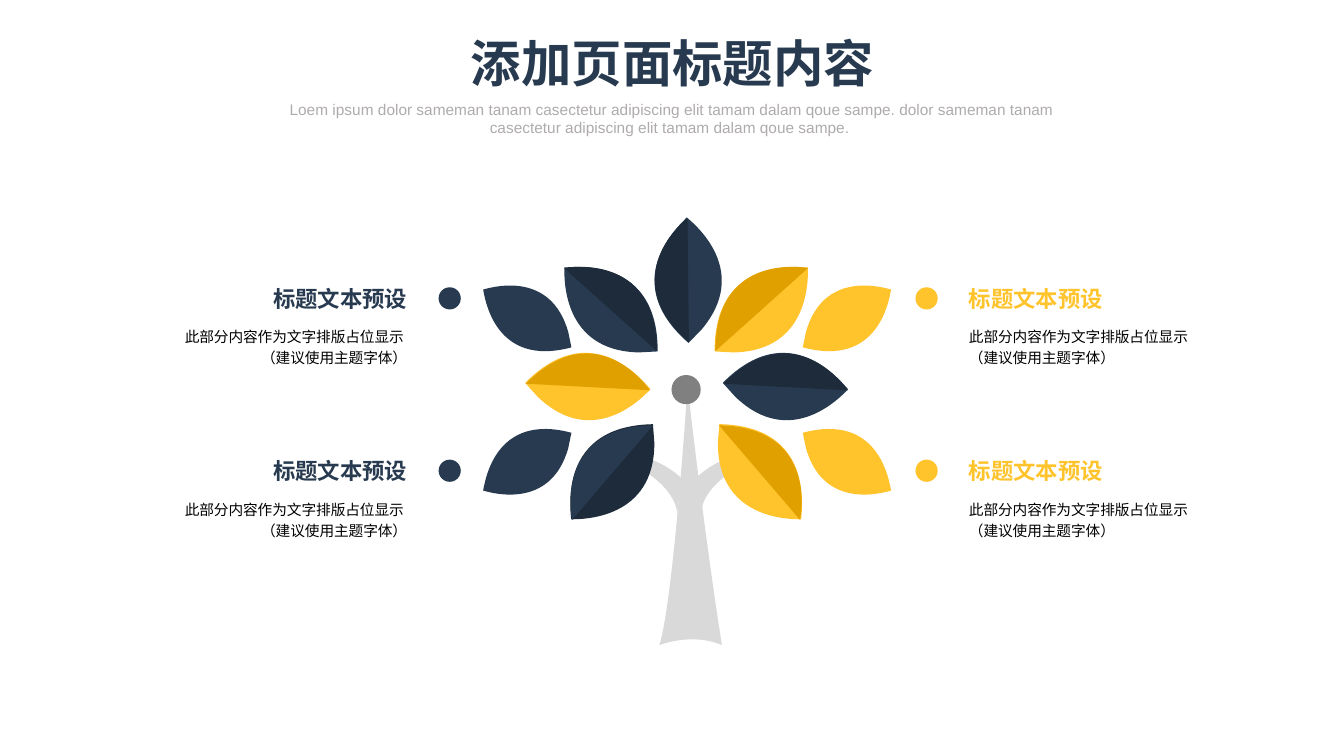
from lxml import etree
from pptx import Presentation
from pptx.dml.color import RGBColor
from pptx.enum.shapes import MSO_SHAPE
from pptx.enum.text import MSO_ANCHOR, MSO_AUTO_SIZE, PP_ALIGN
from pptx.oxml.ns import qn
from pptx.util import Inches, Pt

OVAL = MSO_SHAPE.OVAL
TOP, MIDDLE, BOTTOM = MSO_ANCHOR.TOP, MSO_ANCHOR.MIDDLE, MSO_ANCHOR.BOTTOM
LEFT, CENTER, RIGHT = PP_ALIGN.LEFT, PP_ALIGN.CENTER, PP_ALIGN.RIGHT
GROW, FIXED = MSO_AUTO_SIZE.SHAPE_TO_FIT_TEXT, MSO_AUTO_SIZE.NONE

WIDTH, HEIGHT = 13.33, 7.5
FONT = "Arial"
COLORS = {
    "navy": "273A4F", "deep navy": "1D2B3B",
    "gold": "FFC32B", "deep gold": "E0A000",
    "trunk": "D9D9D9", "crown": "808080",
    "subtitle": "AFABAB", "body": "000000",
}

TITLE = "添加页面标题内容"
SUBTITLE = ("Loem ipsum dolor sameman tanam casectetur adipiscing elit tamam dalam "
            "qoue sampe. dolor sameman tanam casectetur adipiscing elit tamam dalam qoue sampe. ")
HEADING = "标题文本预设"
DETAIL = ["此部分内容作为文字排版占位显示 ", "（建议使用主题字体）"]

ROW_TOP, ROW_PITCH = 2.67, 1.71
INDENT = 0.31
# dot left, text left, text width, alignment, colour
COLUMNS = [
    (4.35, 1.14, 3.21, RIGHT, "navy"),
    (9.08, 9.3, 3.09, LEFT, "gold"),
]

# Outlines in shares of their frame: start, then lines (one point) and curves (three)
PATH_UNITS = 1000
LEAF = [[(1, 1)],
        [(-0.06, 1.06), (0, 0.13), (0, 0)],
        [(0.13, -0.01), (0.94, -0.07), (1, 0.79)]]
HALF_LEAF = [[(1, 0.94)],
             [(0.13, 0)],
             [(0.13, 0), (0, 1), (1, 0.94)]]
TRUNK = [[(1, 1)],
         [(1, 1), (0.76, 0.65), (0.45, 0)],
         [(0.45, 0), (0.23, 0.82), (0, 1)],
         [(0, 1), (0.52, 0.95), (1, 1)]]
BRANCH = [[(0.12, 1)],
          [(0.12, 1), (0, 0.57), (1, 0.12)],
          [(1, 0.12), (0.55, 0), (0.05, 0.43)]]

LEAF_SIZE, HALF_SIZE, SMALL_SIZE = (0.88, 0.88), (1, 0.93), (0.74, 0.74)
# leaf corner, half corner, rotation, flips, leaf colour, half colour
LEAVES = [
    ((6.38, 2.34), (6.26, 2.29), 44.2, "", "navy", "deep navy"),
    ((7.1, 4.24), (7.1, 4.2), 184.3, "", "gold", "deep gold"),
    ((5.63, 4.24), (5.51, 4.2), 175.7, "H", "deep navy", "navy"),
    ((7.35, 3.39), (7.32, 3.31), 137.9, "", "navy", "deep navy"),
    ((5.39, 3.39), (5.36, 3.31), 137.9, "", "gold", "deep gold"),
    ((7.11, 2.63), (7.03, 2.54), 93, "", "gold", "deep gold"),
    ((5.62, 2.63), (5.58, 2.54), 267, "H", "navy", "deep navy"),
]
# corner, rotation, flips, colour
SMALL_LEAVES = [
    ((8.03, 4.21), 168.2, "", "gold"),
    ((4.86, 4.21), 191.8, "H", "navy"),
    ((8.03, 2.79), 191.8, "V", "gold"),
    ((4.86, 2.79), 168.2, "HV", "navy"),
]


def rgb(name):
    return RGBColor.from_string(COLORS[name])


def paint(shape, color):
    shape.fill.solid()
    shape.fill.fore_color.rgb = rgb(color)
    shape.line.fill.background()
    shape.shadow.inherit = False


def add_outline(page, outline, corner, size, color, rotation=0, flips=""):
    """Draw a closed outline of lines and true curves, stretched to its frame."""
    builder = page.shapes.build_freeform(0, 0, scale=1.0)
    builder.add_line_segments([(PATH_UNITS, PATH_UNITS)], close=True)
    shape = builder.convert_to_shape()
    track = shape._element.xpath(".//a:path")[0]
    for child in list(track):
        track.remove(child)
    for number, points in enumerate(outline):
        tag = "a:moveTo" if number == 0 else "a:lnTo" if len(points) == 1 else "a:cubicBezTo"
        segment = etree.SubElement(track, qn(tag))
        for x, y in points:
            etree.SubElement(segment, qn("a:pt"),
                             x=str(round(x * PATH_UNITS)), y=str(round(y * PATH_UNITS)))
    etree.SubElement(track, qn("a:close"))
    shape.left, shape.top = map(Inches, corner)
    shape.width, shape.height = map(Inches, size)
    shape.rotation = rotation
    for flip in flips:
        shape._element.spPr.find(qn("a:xfrm")).set("flip" + flip, "1")
    paint(shape, color)


def add_dot(page, left, top, size, color):
    dot = page.shapes.add_shape(OVAL, Inches(left), Inches(top), Inches(size), Inches(size))
    paint(dot, color)


def add_text(page, area, lines, size, color, align, anchor=TOP, bold=False, wrap=True,
             insets=(0.1, 0.05, 0.1, 0.05), spacing=None, fit=FIXED):
    box = page.shapes.add_textbox(*map(Inches, area))
    frame = box.text_frame
    frame.word_wrap = wrap
    frame.auto_size = fit
    frame.vertical_anchor = anchor
    (frame.margin_left, frame.margin_top,
     frame.margin_right, frame.margin_bottom) = map(Inches, insets)
    para = frame.paragraphs[0]
    para.alignment = align
    if spacing:
        para.line_spacing = spacing
    for number, line in enumerate(lines):
        if number:
            para.add_line_break()
        span = para.add_run()
        span.text = line
        span.font.name = FONT
        span.font.size = Pt(size)
        span.font.bold = bold
        span.font.color.rgb = rgb(color)


def add_tree(page):
    add_outline(page, TRUNK, (6.54, 3.83), (0.62, 2.57), "trunk")
    add_outline(page, BRANCH, (6.88, 4.44), (0.65, 0.68), "trunk")
    add_outline(page, BRANCH, (6.14, 4.45), (0.65, 0.68), "trunk", flips="H")
    for corner, half_corner, rotation, flips, color, half_color in LEAVES:
        add_outline(page, LEAF, corner, LEAF_SIZE, color, rotation, flips)
        add_outline(page, HALF_LEAF, half_corner, HALF_SIZE, half_color, rotation, flips)
    for corner, rotation, flips, color in SMALL_LEAVES:
        add_outline(page, LEAF, corner, SMALL_SIZE, color, rotation, flips)
    add_dot(page, 6.66, 3.72, 0.29, "crown")


def add_label(page, column, row):
    dot_left, left, width, align, color = column
    top = ROW_TOP + row * ROW_PITCH
    insets = (INDENT, 0, 0, 0) if align == LEFT else (0, 0, INDENT, 0)
    add_dot(page, dot_left, top + 0.18, 0.22, color)
    add_text(page, (left, top, width, 0.42), [HEADING], 16, color, align,
             BOTTOM, bold=True, wrap=False, insets=insets)
    add_text(page, (left, top + 0.42, width, 0.68), DETAIL, 10.5, "body", align,
             MIDDLE, insets=insets, spacing=1.2)


def main():
    deck = Presentation()
    deck.slide_width, deck.slide_height = Inches(WIDTH), Inches(HEIGHT)
    page = deck.slides.add_slide(deck.slide_layouts[6])
    add_text(page, (4.55, 0.27, 4.24, 0.71), [TITLE], 36, "navy", CENTER,
             bold=True, wrap=False, fit=GROW)
    add_text(page, (2.5, 0.94, 8.33, 0.66), [SUBTITLE], 11, "subtitle", CENTER, fit=GROW)
    add_tree(page)
    for column in COLUMNS:
        for row in range(2):
            add_label(page, column, row)
    deck.save("out.pptx")


if __name__ == "__main__":
    main()
